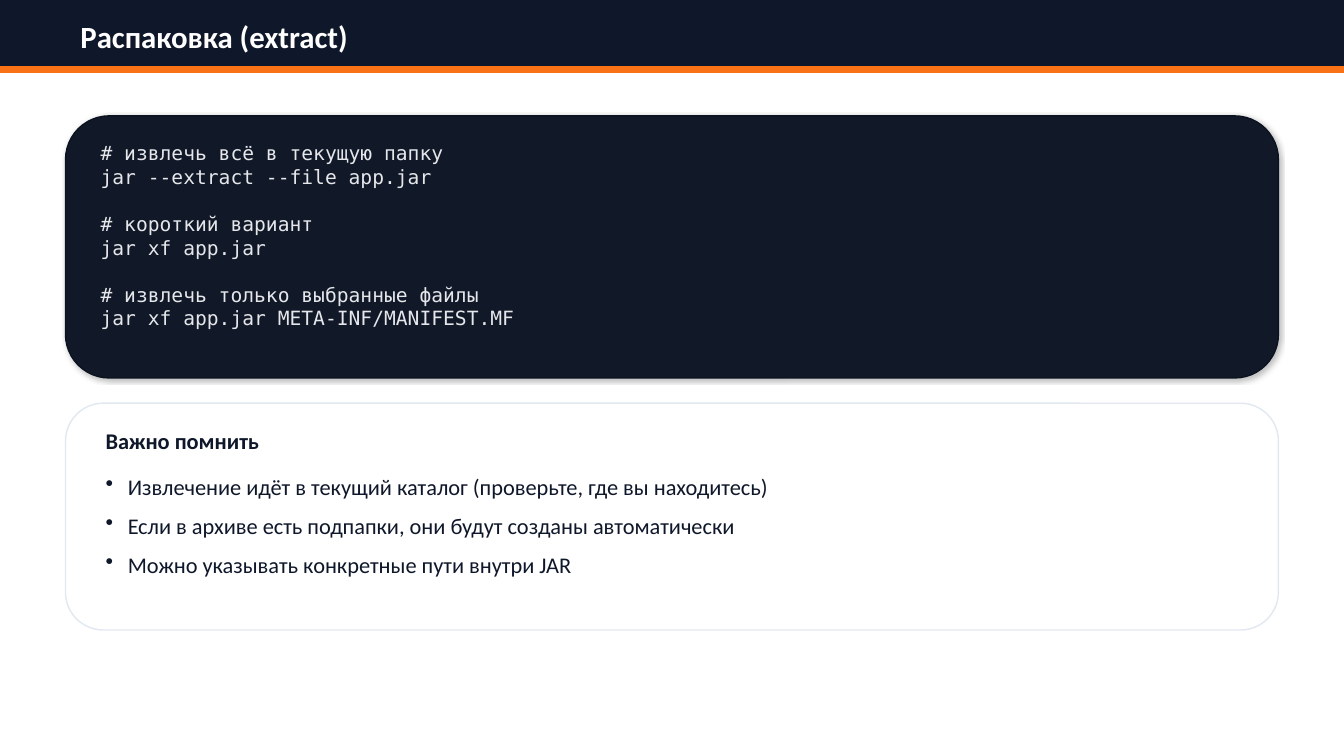
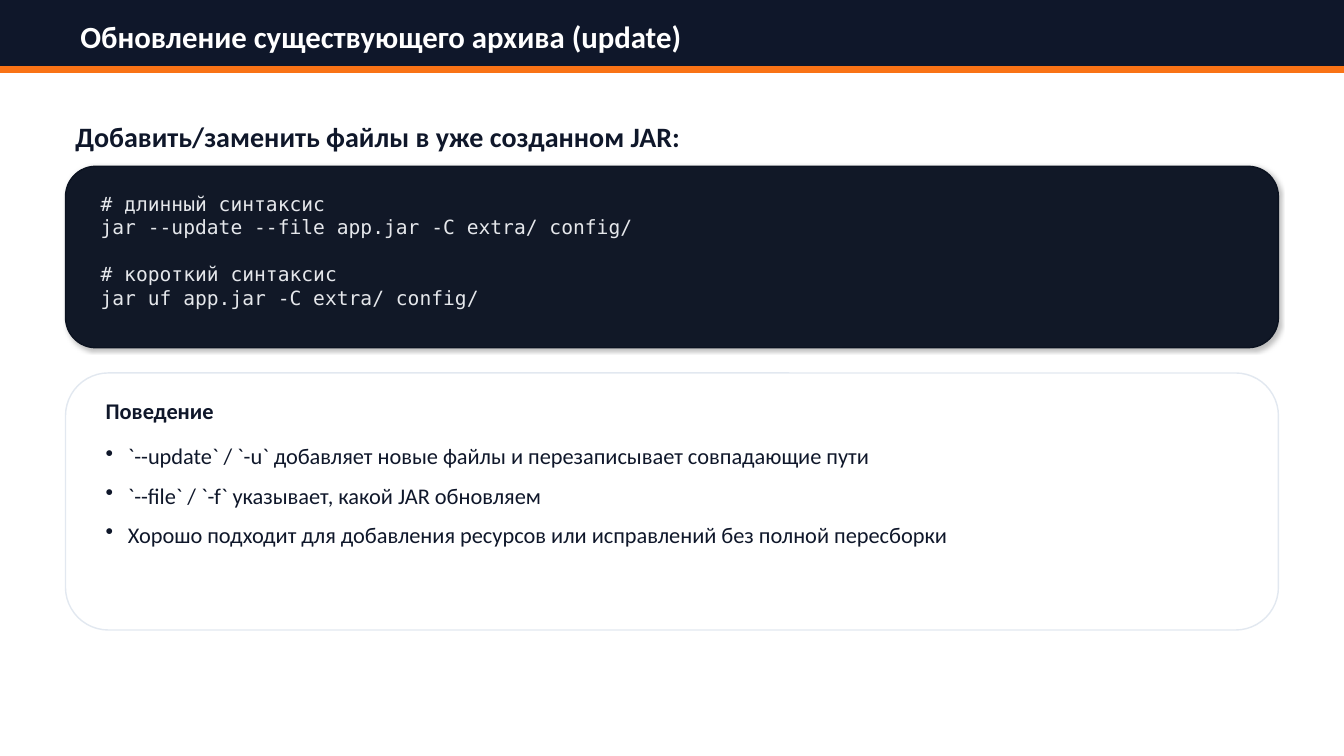
from dataclasses import dataclass
from typing import Optional

from lxml.etree import SubElement
from pptx import Presentation
from pptx.dml.color import RGBColor
from pptx.enum.shapes import MSO_SHAPE
from pptx.enum.text import MSO_ANCHOR
from pptx.oxml.ns import qn
from pptx.shapes.autoshape import Shape
from pptx.slide import Slide
from pptx.util import Inches, Pt

COLORS = {
    "navy": "0F172A",
    "orange": "F97316",
    "white": "FFFFFF",
    "code_fill": "111827",
    "code_line": "0B1220",
    "code_text": "E5E7EB",
    "card_line": "E2E8F0",
}
BODY_FONT = "Calibri"
CODE_FONT = "DejaVu Sans Mono"

SLIDE_W, SLIDE_H = 13.33, 7.5
MARGIN = 0.65
CONTENT_W = SLIDE_W - 2 * MARGIN
CONTENT_TOP, CONTENT_BOTTOM = 1.15, 6.25
LEAD_STEP = 0.5
CARD_GAP = 0.25
BAND_H, STRIPE_H = 0.72, 0.06
CODE_PAD_X, CARD_PAD_X, PAD_Y = 0.25, 0.3, 0.2
BULLET_INDENT = 0.22


@dataclass(frozen=True)
class Box:
    left: float
    top: float
    width: float
    height: float

    @property
    def bottom(self) -> float:
        return self.top + self.height

    def inset(self, dx: float, dy: float) -> "Box":
        return Box(self.left + dx, self.top + dy, self.width - 2 * dx, self.height - 2 * dy)

    def lengths(self) -> list[int]:
        return [Inches(v) for v in (self.left, self.top, self.width, self.height)]


@dataclass(frozen=True)
class Topic:
    """One command slide; each group in commands is a comment and its call."""
    title: str
    commands: list[list[str]]
    code_height: float
    card_heading: str
    points: list[str]
    lead: Optional[str] = None


TOPICS = [
    Topic(
        title="Распаковка (extract)",
        commands=[
            ["# извлечь всё в текущую папку", "jar --extract --file app.jar"],
            ["# короткий вариант", "jar xf app.jar"],
            ["# извлечь только выбранные файлы", "jar xf app.jar META-INF/MANIFEST.MF"],
        ],
        code_height=2.6,
        card_heading="Важно помнить",
        points=[
            "Извлечение идёт в текущий каталог (проверьте, где вы находитесь)",
            "Если в архиве есть подпапки, они будут созданы автоматически",
            "Можно указывать конкретные пути внутри JAR",
        ],
    ),
    Topic(
        title="Обновление существующего архива (update)",
        lead="Добавить/заменить файлы в уже созданном JAR:",
        commands=[
            ["# длинный синтаксис", "jar --update --file app.jar -C extra/ config/"],
            ["# короткий синтаксис", "jar uf app.jar -C extra/ config/"],
        ],
        code_height=1.8,
        card_heading="Поведение",
        points=[
            "`--update` / `-u` добавляет новые файлы и перезаписывает совпадающие пути",
            "`--file` / `-f` указывает, какой JAR обновляем",
            "Хорошо подходит для добавления ресурсов или исправлений без полной пересборки",
        ],
    ),
]


def rgb(name: str) -> RGBColor:
    return RGBColor.from_string(COLORS[name])


def add_panel(slide: Slide, box: Box, fill: str, line: str, rounded: bool = False) -> Shape:
    kind = MSO_SHAPE.ROUNDED_RECTANGLE if rounded else MSO_SHAPE.RECTANGLE
    panel = slide.shapes.add_shape(kind, *box.lengths())
    panel.shadow.inherit = False
    panel.fill.solid()
    panel.fill.fore_color.rgb = rgb(fill)
    panel.line.color.rgb = rgb(line)
    panel.line.width = Pt(1)
    return panel


def add_soft_shadow(panel: Shape) -> None:
    effects = panel.element.spPr.find(qn("a:effectLst"))
    shadow = SubElement(effects, qn("a:outerShdw"), blurRad=str(Pt(3)), dist=str(Pt(1.5)),
                        dir=str(45 * 60000), algn="tl", rotWithShape="0")
    color = SubElement(shadow, qn("a:srgbClr"), val="000000")
    SubElement(color, qn("a:alpha"), val="25000")


def add_text(slide: Slide, box: Box, groups: list[list[str]], *, size: float, color: str = "navy",
             font: str = BODY_FONT, bold: bool = False, middle: bool = False,
             bullets: bool = False, group_gap: float = 0) -> None:
    """Write one paragraph per line, with group_gap points between groups."""
    frame = slide.shapes.add_textbox(*box.lengths()).text_frame
    frame.word_wrap = True
    frame.vertical_anchor = MSO_ANCHOR.MIDDLE if middle else MSO_ANCHOR.TOP
    lines = [(text, group_gap if g and not i else 0)
             for g, group in enumerate(groups) for i, text in enumerate(group)]
    for number, (text, gap) in enumerate(lines):
        paragraph = frame.add_paragraph() if number else frame.paragraphs[0]
        if gap:
            paragraph.space_before = Pt(gap)
        if bullets:
            paragraph.line_spacing = 1.15
            paragraph.space_after = Pt(6)
            properties = paragraph._p.get_or_add_pPr()
            properties.set("marL", str(Inches(BULLET_INDENT)))
            properties.set("indent", str(-Inches(BULLET_INDENT)))
            SubElement(properties, qn("a:buChar"), char="•")
        run = paragraph.add_run()
        run.text = text
        run.font.name = font
        run.font.size = Pt(size)
        run.font.bold = bold
        run.font.color.rgb = rgb(color)


def add_header(slide: Slide, title: str) -> None:
    add_panel(slide, Box(0, 0, SLIDE_W, BAND_H), "navy", "navy")
    add_panel(slide, Box(0, BAND_H - STRIPE_H, SLIDE_W, STRIPE_H), "orange", "orange")
    add_text(slide, Box(0.7, 0.16, SLIDE_W - 1.4, 0.4), [[title]],
             size=22, color="white", bold=True, middle=True)


def add_code_card(slide: Slide, box: Box, commands: list[list[str]]) -> None:
    add_soft_shadow(add_panel(slide, box, "code_fill", "code_line", rounded=True))
    add_text(slide, box.inset(CODE_PAD_X, PAD_Y), commands,
             size=14, color="code_text", font=CODE_FONT, group_gap=17)


def add_points_card(slide: Slide, box: Box, heading: str, points: list[str]) -> None:
    add_panel(slide, box, "white", "card_line", rounded=True)
    inner = box.inset(CARD_PAD_X, PAD_Y)
    add_text(slide, Box(inner.left, inner.top, inner.width, 0.35), [[heading]],
             size=16, bold=True, middle=True)
    points_top = inner.top + 0.4
    add_text(slide, Box(inner.left, points_top, inner.width, box.bottom - 0.3 - points_top),
             [points], size=16, bullets=True)


def add_topic(slide: Slide, topic: Topic) -> None:
    add_header(slide, topic.title)
    top = CONTENT_TOP
    if topic.lead:
        add_text(slide, Box(MARGIN, top, CONTENT_W, 0.4), [[topic.lead]],
                 size=20, bold=True, middle=True)
        top += LEAD_STEP
    code_box = Box(MARGIN, top, CONTENT_W, topic.code_height)
    add_code_card(slide, code_box, topic.commands)
    card_top = code_box.bottom + CARD_GAP
    add_points_card(slide, Box(MARGIN, card_top, CONTENT_W, CONTENT_BOTTOM - card_top),
                    topic.card_heading, topic.points)


def main() -> None:
    deck = Presentation()
    deck.slide_width, deck.slide_height = Inches(SLIDE_W), Inches(SLIDE_H)
    blank = deck.slide_layouts[6]
    for topic in TOPICS:
        add_topic(deck.slides.add_slide(blank), topic)
    deck.save("out.pptx")


if __name__ == "__main__":
    main()
